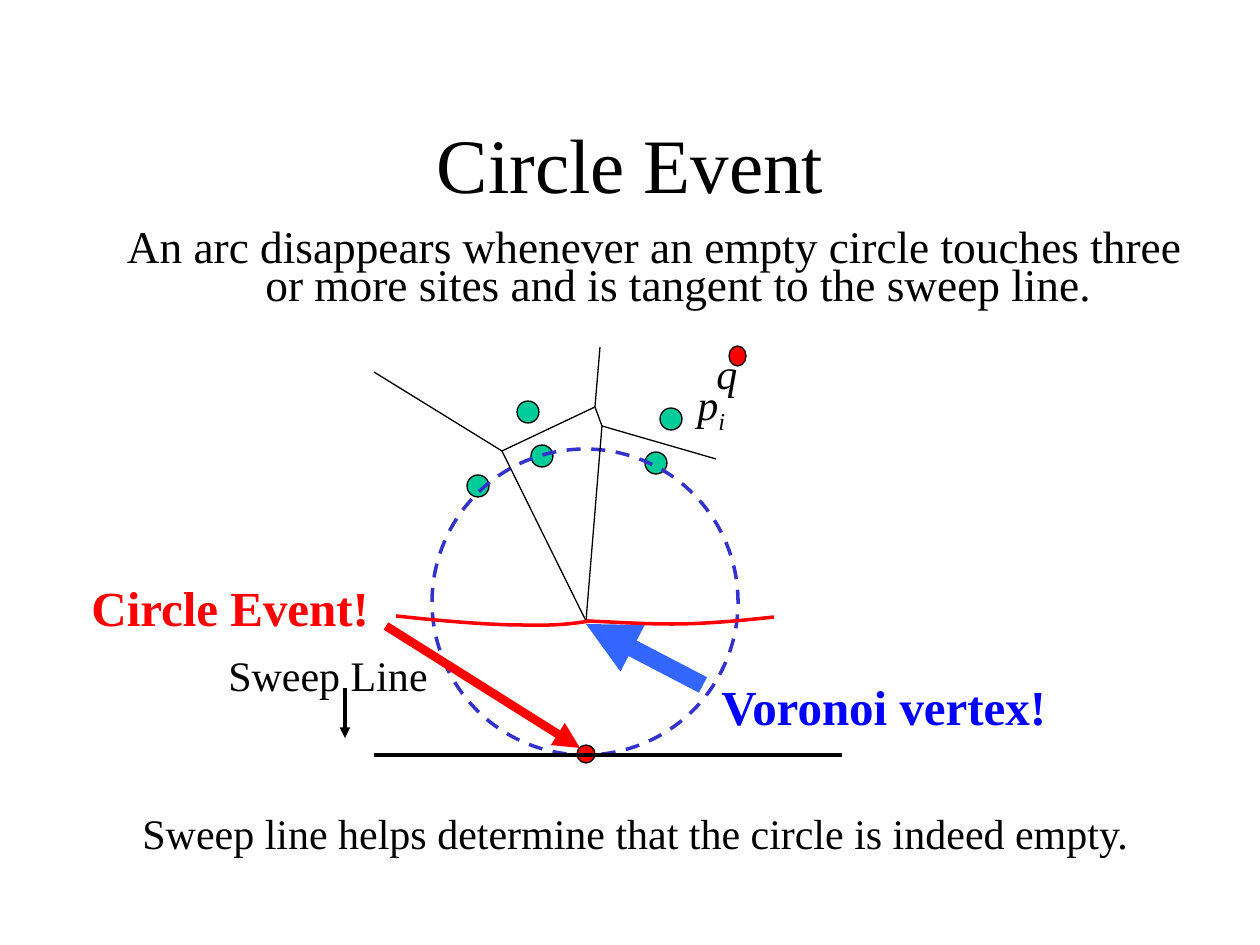
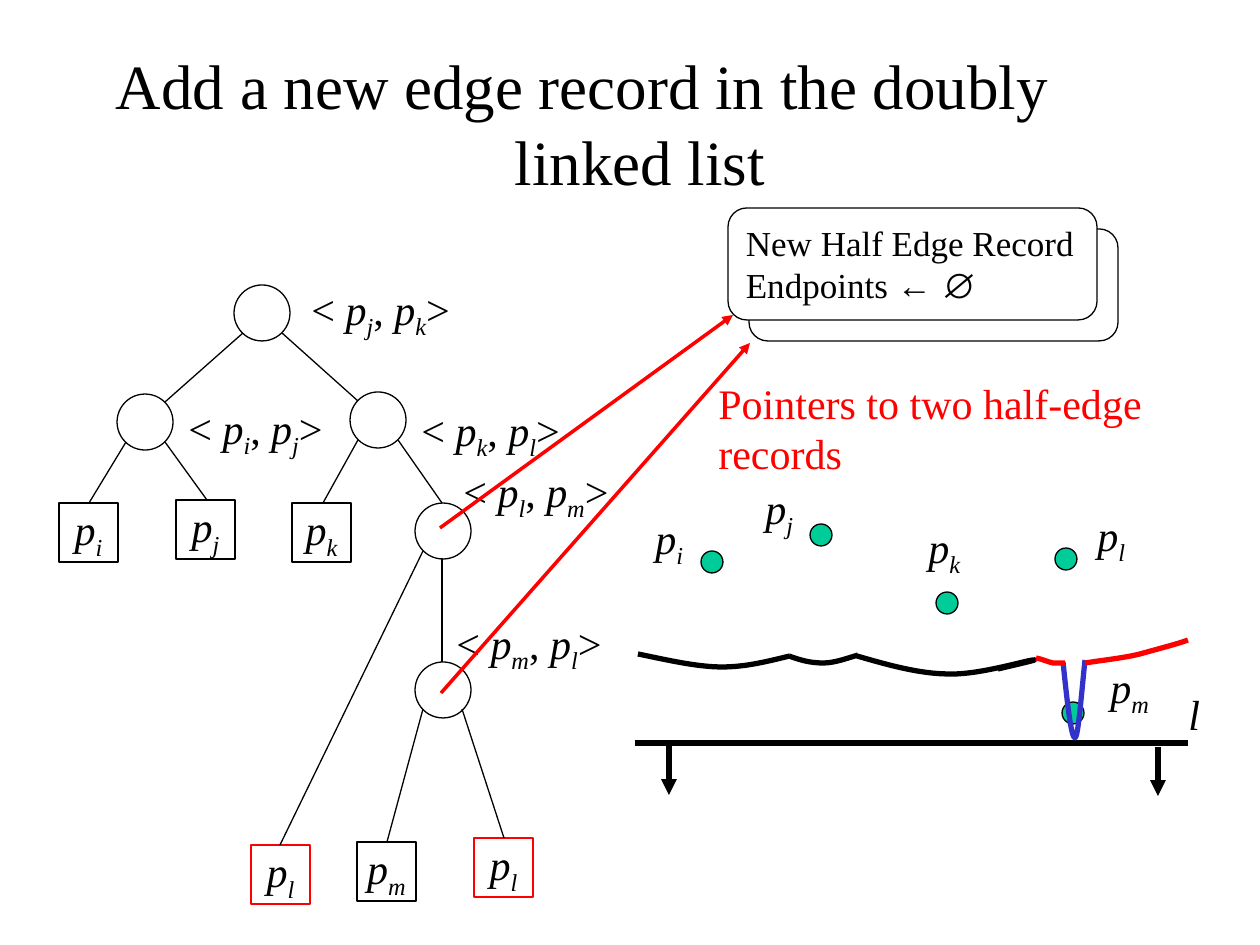
"""Build two slides on Voronoi sweep lines: the circle event and the new edge record."""
from lxml import etree
from pptx import Presentation
from pptx.dml.color import RGBColor
from pptx.enum.dml import MSO_LINE
from pptx.enum.shapes import MSO_CONNECTOR, MSO_SHAPE
from pptx.enum.text import MSO_ANCHOR, MSO_AUTO_SIZE, PP_ALIGN
from pptx.oxml.ns import qn
from pptx.util import Pt

PX = 914400 / 126
SERIF = "Times New Roman"
SANS = "Arial"
BLACK = RGBColor(0, 0, 0)
WHITE = RGBColor(255, 255, 255)
RED = RGBColor(255, 0, 0)
BLUE = RGBColor(0, 0, 255)
INDIGO = RGBColor(0x33, 0x33, 0xCC)
SKY = RGBColor(0x33, 0x66, 0xFF)
GREEN = RGBColor(0, 0xCC, 0x99)
OVAL, BOX, CARD = MSO_SHAPE.OVAL, MSO_SHAPE.RECTANGLE, MSO_SHAPE.ROUNDED_RECTANGLE
STRAIGHT = MSO_CONNECTOR.STRAIGHT
DASH = MSO_LINE.DASH
MIDDLE = MSO_ANCHOR.MIDDLE
CENTER, LEFT = PP_ALIGN.CENTER, PP_ALIGN.LEFT
FIXED, GROW = MSO_AUTO_SIZE.NONE, MSO_AUTO_SIZE.SHAPE_TO_FIT_TEXT
PLAIN, ITALIC, SUB, SYMBOL, BREAK = "plain", "italic", "sub", "symbol", "break"


def write(paragraph, runs, size, color=BLACK, bold=False):
    """Add styled runs to a paragraph."""
    for text, style in runs:
        if style == BREAK:
            paragraph.add_line_break()
            continue
        run = paragraph.add_run()
        run.text = text
        run.font.name = SANS if style == SYMBOL else SERIF
        run.font.size = Pt(size)
        run.font.color.rgb = color
        run.font.bold = bold
        run.font.italic = style in (ITALIC, SUB)
        if style == SUB:
            run.font._element.set("baseline", "-25000")


def draw(item, color, width, fill=None, arrow=False):
    """Give a shape or connector its line, fill and arrowhead, without shadow."""
    item.line.color.rgb = color
    item.line.width = Pt(width)
    if arrow:
        etree.SubElement(item.element.spPr.find(qn("a:ln")), qn("a:tailEnd"), type="triangle")
    if fill is not None:
        item.fill.solid()
        item.fill.fore_color.rgb = fill
    elif hasattr(item, "fill"):
        item.fill.background()
    if hasattr(item, "shadow"):
        item.shadow.inherit = False
    else:
        etree.SubElement(item.element.spPr, qn("a:effectLst"))


prs = Presentation()
prs.slide_width = round(1260 * PX)
prs.slide_height = round(945 * PX)
event = prs.slides.add_slide(prs.slide_layouts[1])
record = prs.slides.add_slide(prs.slide_layouts[5])

statement = ("An arc disappears whenever an empty circle touches three or more sites "
             "and is tangent to the sweep line.")
headings = [
    (event.shapes.title, (95, 84, 1071, 158), "Circle Event", 44, 0),
    (event.placeholders[1], (98, 227, 1113, 93), statement, 25.9, 48),
    (record.shapes.title, (65, 44, 1034, 157),
     "Add a new edge record in the doubly linked list", 36, 116),
]
for heading, place, text, size, hanging in headings:
    heading.left, heading.top, heading.width, heading.height = [round(v * PX) for v in place]
    heading.text_frame.auto_size = FIXED
    heading.text_frame.word_wrap = True
    paragraph = heading.text_frame.paragraphs[0]
    paragraph.alignment = CENTER
    properties = paragraph._p.get_or_add_pPr()
    properties.set("marL", str(round(hanging * PX)))
    properties.set("indent", str(-round(hanging * PX)))
    if heading == event.placeholders[1]:
        paragraph.line_spacing = 0.7
        paragraph.space_before = Pt(7)
        etree.SubElement(properties, qn("a:buNone"))
    else:
        heading.text_frame.vertical_anchor = MIDDLE
    write(paragraph, [(text, PLAIN)], size)

site_name = {letter: [("p", ITALIC), (letter, SUB)] for letter in "ijklm"}
labels = [
    (event, (130, 801, 1016, 63),
     [("Sweep line helps determine that the circle is indeed empty.", PLAIN)], 24, BLACK, False),
    (event, (79, 571, 306, 72), [("Circle Event!", PLAIN)], 28, RED, True),
    (event, (216, 643, 228, 63), [("Sweep Line", PLAIN)], 24, BLACK, False),
    (event, (685, 372, 55, 71), site_name["i"], 24, BLACK, False),
    (event, (704, 341, 45, 63), [("q", ITALIC)], 24, BLACK, False),
    (event, (709, 670, 357, 72), [("Voronoi vertex!", PLAIN)], 28, BLUE, True),
    (record, (1176, 682, 37, 63), [("l", ITALIC)], 24, BLACK, False),
    (record, (706, 371, 463, 113),
     [("Pointers to two half-edge ", PLAIN), ("", BREAK), ("records", PLAIN)], 24, RED, False),
]
for letter, x, y, width in [("i", 643, 506, 55), ("j", 753, 476, 55), ("k", 916, 515, 59),
                            ("l", 1085, 503, 55), ("m", 1098, 655, 68)]:
    labels.append((record, (x, y, width, 71), site_name[letter], 24, BLACK, False))
for (first, second), x, y, width in [("jk", 299, 277, 168), ("ij", 176, 396, 164),
                                     ("kl", 409, 398, 168), ("lm", 451, 459, 174),
                                     ("ml", 444, 611, 174)]:
    breakpoint_runs = [("< ", PLAIN), *site_name[first], (", ", PLAIN),
                       *site_name[second], (">", PLAIN)]
    labels.append((record, (x, y, width, 71), breakpoint_runs, 24, BLACK, False))

for slide, place, runs, size, color, bold in labels:
    label = slide.shapes.add_textbox(*[round(v * PX) for v in place])
    label.text_frame.word_wrap = False
    label.text_frame.auto_size = GROW
    write(label.text_frame.paragraphs[0], runs, size, color, bold)

site_centers = [
    (event, [(656, 463), (671, 419), (478, 486), (542, 456), (528, 412)]),
    (record, [(947, 603), (1066, 559), (821, 535), (712, 562), (1073, 713)]),
]
circles = [(slide, (x - 11, y - 11, 22, 22), GREEN)
           for slide, centers in site_centers for x, y in centers]
circles += [(event, (577, 745, 18, 18), RED), (event, (729, 346, 17, 20), RED)]
circles += [(record, (x, y, 56, 56), None)
            for x, y in [(234, 285), (117, 394), (350, 392), (415, 503), (415, 662)]]
for slide, place, fill in circles:
    circle = slide.shapes.add_shape(OVAL, *[round(v * PX) for v in place])
    draw(circle, BLACK, 0.75, fill)

empty_circle = event.shapes.add_shape(OVAL, *[round(v * PX) for v in (432, 449, 306, 306)])
draw(empty_circle, INDIGO, 2)
empty_circle.line.dash_style = DASH

leaves = [("i", 59, 503, BLACK), ("j", 176, 500, BLACK), ("k", 292, 503, BLACK),
          ("m", 357, 842, BLACK), ("l", 474, 838, RED), ("l", 251, 845, RED)]
for letter, x, y, color in leaves:
    leaf = record.shapes.add_shape(BOX, *[round(v * PX) for v in (x, y, 59, 59)])
    draw(leaf, color, 0.75)
    leaf.text_frame.word_wrap = False
    leaf.text_frame.vertical_anchor = MIDDLE
    leaf.text_frame.paragraphs[0].alignment = CENTER
    write(leaf.text_frame.paragraphs[0], site_name[letter], 24)

for x, y in [(749, 229), (728, 208)]:
    half_edge = record.shapes.add_shape(CARD, *[round(v * PX) for v in (x, y, 369, 112)])
    half_edge.adjustments[0] = 0.167
    draw(half_edge, BLACK, 0.75, WHITE)
frame = half_edge.text_frame
frame.word_wrap = False
frame.vertical_anchor = MIDDLE
write(frame.paragraphs[0], [("New Half Edge Record", PLAIN)], 20)
write(frame.add_paragraph(), [("Endpoints ", PLAIN), ("← ∅", SYMBOL)], 20)
for paragraph in frame.paragraphs:
    paragraph.alignment = LEFT

left_vertex, top_vertex, right_vertex, new_vertex = (502, 451), (595, 407), (602, 426), (586, 621)
voronoi_edges = [
    (right_vertex, top_vertex), ((374, 372), left_vertex), (left_vertex, new_vertex),
    (new_vertex, right_vertex), (left_vertex, top_vertex), (right_vertex, (716, 459)),
    (top_vertex, (600, 347)),
]
tree_edges = [
    ((243, 333), (165, 402)), ((282, 333), (358, 401)), ((126, 442), (89, 503)),
    ((165, 442), (207, 500)), ((358, 440), (323, 503)), ((398, 440), (442, 503)),
    ((423, 709), (387, 842)), ((462, 709), (504, 838)), ((423, 551), (280, 845)),
    ((442, 558), (442, 662)),
]
lines = [(event, start, end, BLACK, 0.75, False) for start, end in voronoi_edges]
lines += [(record, start, end, BLACK, 0.75, False) for start, end in tree_edges]
lines += [
    (event, (386, 626), (580, 748), RED, 5, True),
    (event, (374, 755), (842, 755), BLACK, 2, False),
    (event, (345, 688), (345, 738), BLACK, 2, True),
    (event, (703, 685), (586, 624), SKY, 10, True),
    (record, (669, 746), (669, 795), BLACK, 3, True),
    (record, (1158, 747), (1158, 796), BLACK, 3, True),
    (record, (440, 528), (733, 315), RED, 2, True),
    (record, (441, 693), (750, 343), RED, 2, True),
    (record, (635, 743), (1188, 743), BLACK, 3, False),
]
for slide, start, end, color, width, arrow in lines:
    line = slide.shapes.add_connector(STRAIGHT, *[round(v * PX) for v in start + end])
    draw(line, color, width, arrow=arrow)

beach_arcs = [
    (event, RED, 2, [(587, 621), (614, 622), (641, 624), (672, 624),
                     (703, 624), (738, 621), (774, 617)]),
    (event, RED, 2, [(396, 616), (442, 621), (489, 625), (520, 625),
                     (553, 626), (571, 624), (590, 621)]),
    (record, BLACK, 3, [(638, 654), (667, 660), (697, 667), (722, 667),
                        (747, 667), (769, 661), (790, 656)]),
    (record, BLACK, 3, [(789, 656), (800, 660), (810, 663), (823, 663),
                        (834, 663), (845, 659), (858, 655)]),
    (record, BLACK, 3, [(857, 656), (888, 665), (920, 674), (949, 674), (978, 675),
                        (1024, 661), (1033, 660), (1041, 659), (1019, 664), (998, 669)]),
    (record, INDIGO, 3, [(1063, 662), (1067, 700), (1071, 738), (1075, 738),
                         (1078, 738), (1081, 699), (1085, 660)]),
    (record, RED, 3, [(1036, 658), (1042, 659), (1048, 662), (1053, 663),
                      (1058, 663), (1061, 663), (1065, 663)]),
    (record, RED, 3, [(1085, 663), (1104, 660), (1124, 658), (1140, 654),
                      (1158, 649), (1181, 643), (1188, 640)]),
]
for slide, color, width, controls in beach_arcs:
    outline = slide.shapes.build_freeform(*controls[0], scale=PX)
    outline.add_line_segments(controls[1:], close=False)
    arc = outline.convert_to_shape()
    draw(arc, color, width)
    route = arc.element.spPr.find(".//" + qn("a:path"))
    straight_steps = route.findall(qn("a:lnTo"))
    for first in range(0, len(straight_steps), 3):
        bezier = etree.SubElement(route, qn("a:cubicBezTo"))
        for step in straight_steps[first:first + 3]:
            bezier.append(step[0])
            route.remove(step)

prs.save("out.pptx")
